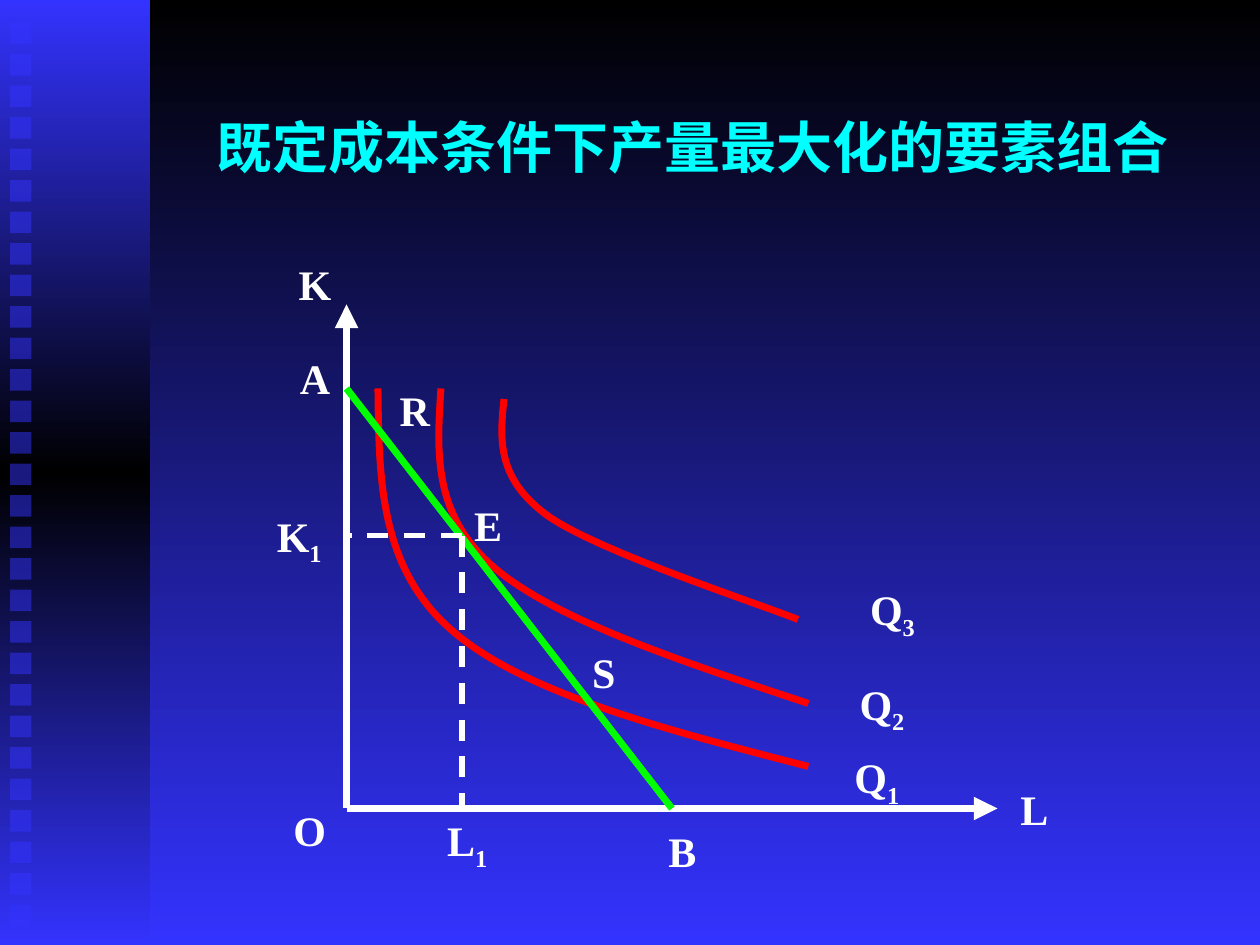
from copy import deepcopy

from lxml.etree import SubElement
from pptx import Presentation
from pptx.dml.color import RGBColor
from pptx.enum.dml import MSO_LINE
from pptx.enum.shapes import MSO_CONNECTOR, MSO_SHAPE
from pptx.enum.text import MSO_AUTO_SIZE, PP_ALIGN
from pptx.oxml.ns import qn
from pptx.util import Inches, Pt

BLACK, BLUE, WHITE = "000000", "3333FF", "FFFFFF"
RED, GREEN, CYAN = "FF0000", "00FF00", "00FFFF"
ORIGIN = (33, 77)
CAPITAL_TOP, LABOUR_END = (33, 29), (95, 77)
BUDGET_TOP, BUDGET_END = (33, 37), (64, 77)
OPTIMUM = (44, 51)

ISOQUANTS = [
    [(36, 37), (36.1, 45.5), (36.1, 54), (43, 60), (49.8, 66), (63.4, 69.5), (77, 73)],
    [(42, 37), (41.6, 43), (41.2, 49), (47, 54), (52.8, 59), (64.9, 63), (77, 67)],
    [(48, 38), (47.6, 41.8), (47.3, 45.5), (52, 49), (56.6, 52.4), (72, 57.4), (76, 59)],
]

LABELS = [
    ("B", "", 61, 78, 8),
    ("L", "1", 38, 77, 13),
    ("K", "", 25, 24, 10),
    ("L", "", 94, 74, 9),
    ("O", "", 24, 76, 11),
    ("R", "", 36, 36, 7),
    ("E", "", 43, 47, 7),
    ("S", "", 54, 61, 7),
    ("A", "", 27, 33, 6),
    ("K", "1", 23, 48, 11),
    ("Q", "1", 76, 71, 15),
    ("Q", "2", 78, 64, 12),
    ("Q", "3", 77, 55, 16),
]


def grid(units):
    """Convert grid units of a twelfth of an inch to a length."""
    return Inches(units / 12)


def color(hex_value):
    """Turn a hex string into a colour."""
    return RGBColor.from_string(hex_value)


def set_gradient(fill, element, colors):
    """Fill from top to bottom with evenly spaced colours."""
    fill.gradient()
    fill.gradient_angle = 270
    stop_list = element.find(".//" + qn("a:gsLst"))
    for _ in colors[2:]:
        stop_list.append(deepcopy(stop_list[-1]))
    for index, (stop, hex_value) in enumerate(zip(fill.gradient_stops, colors)):
        stop.color.rgb = color(hex_value)
        stop.position = index / (len(colors) - 1)


def add_rectangle(slide, left, top, width, height):
    """Add a rectangle without outline or shadow."""
    shape = slide.shapes.add_shape(
        MSO_SHAPE.RECTANGLE, Inches(left), Inches(top), Inches(width), Inches(height)
    )
    shape.shadow.inherit = False
    shape.line.fill.background()
    return shape


def add_side_band(slide):
    """Add the gradient band and its column of translucent squares."""
    band = add_rectangle(slide, 0, 0, 1.19, 7.5)
    set_gradient(band.fill, band._element, [BLUE, BLACK, BLUE])
    for row in range(29):
        square = add_rectangle(slide, 0.08, 0.18 + 0.25 * row, 0.17, 0.17)
        square.fill.solid()
        square.fill.fore_color.rgb = color(BLUE)
        fill_color = square._element.spPr.find(".//" + qn("a:srgbClr"))
        SubElement(fill_color, qn("a:alpha")).set("val", "50000")


def add_line(slide, start, end, hex_value, width, arrow=False, dashed=False):
    """Add a straight line between two grid points."""
    points = [grid(value) for value in (*start, *end)]
    connector = slide.shapes.add_connector(MSO_CONNECTOR.STRAIGHT, *points)
    connector.line.color.rgb = color(hex_value)
    connector.line.width = Pt(width)
    if dashed:
        connector.line.dash_style = MSO_LINE.DASH
    if arrow:
        SubElement(connector.line._get_or_add_ln(), qn("a:tailEnd")).set("type", "triangle")
    SubElement(connector._element.spPr, qn("a:effectLst"))


def add_isoquant(slide, points):
    """Add a smooth curve from a start point and triples of Bézier points."""
    start, *controls = [(grid(x), grid(y)) for x, y in points]
    builder = slide.shapes.build_freeform(*start)
    builder.add_line_segments(controls, close=False)
    shape = builder.convert_to_shape()
    shape.shadow.inherit = False
    shape.fill.background()
    shape.line.color.rgb = color(RED)
    shape.line.width = Pt(4)
    outline = shape._element.find(".//" + qn("a:path"))
    segments = outline.findall(qn("a:lnTo"))
    for first in range(0, len(segments), 3):
        curve = SubElement(outline, qn("a:cubicBezTo"))
        for segment in segments[first:first + 3]:
            curve.append(segment[0])
            outline.remove(segment)


def add_text(slide, box, text, size, hex_value, subscript=""):
    """Add centred bold text, with an optional subscript, in a grid box."""
    shape = slide.shapes.add_textbox(*[grid(value) for value in box])
    frame = shape.text_frame
    frame.word_wrap = True
    frame.auto_size = MSO_AUTO_SIZE.SHAPE_TO_FIT_TEXT
    paragraph = frame.paragraphs[0]
    paragraph.alignment = PP_ALIGN.CENTER
    paragraph.font.name = "Times New Roman"
    paragraph.font.size = Pt(size)
    paragraph.font.bold = True
    paragraph.font.color.rgb = color(hex_value)
    paragraph.add_run().text = text
    if subscript:
        run = paragraph.add_run()
        run.text = subscript
        run._r.get_or_add_rPr().set("baseline", "-25000")


def main():
    """Build the slide and save it."""
    presentation = Presentation()
    presentation.slide_width, presentation.slide_height = Inches(10), Inches(7.5)
    slide = presentation.slides.add_slide(presentation.slide_layouts[6])
    set_gradient(slide.background.fill, slide._element, [BLACK, BLUE])
    add_side_band(slide)
    add_text(slide, (12, 10.1, 108, 7.7), "既定成本条件下产量最大化的要素组合", 32, CYAN)
    for axis_end in (CAPITAL_TOP, LABOUR_END):
        add_line(slide, ORIGIN, axis_end, WHITE, 4.5, arrow=True)
    for points in ISOQUANTS:
        add_isoquant(slide, points)
    add_line(slide, BUDGET_TOP, BUDGET_END, GREEN, 4)
    for foot in ((OPTIMUM[0], ORIGIN[1]), (ORIGIN[0], OPTIMUM[1])):
        add_line(slide, OPTIMUM, foot, WHITE, 3, dashed=True)
    for text, subscript, left, top, width in LABELS:
        height = 6.7 if subscript else 6
        add_text(slide, (left, top, width, height), text, 24, WHITE, subscript)
    presentation.save("out.pptx")


if __name__ == "__main__":
    main()
